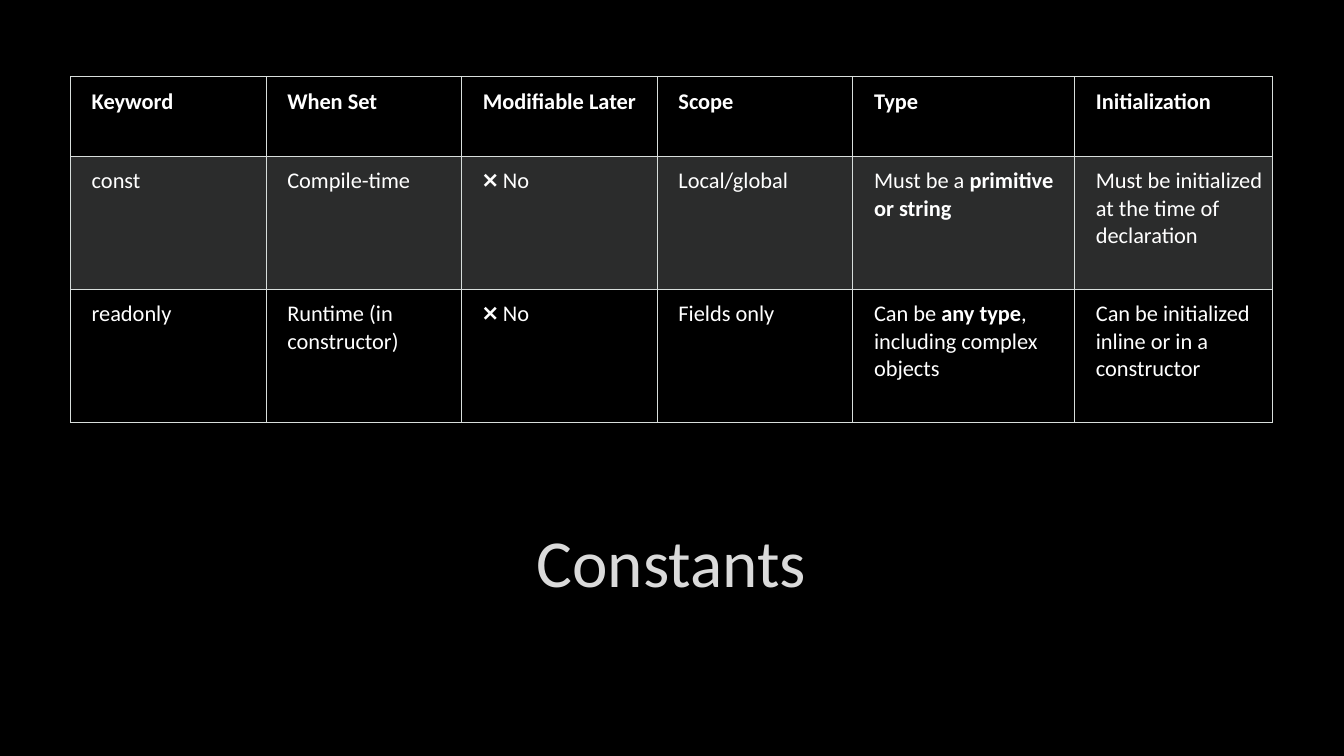
from dataclasses import dataclass

from lxml import etree
from pptx import Presentation
from pptx import util as u
from pptx.dml.color import RGBColor
from pptx.enum import text
from pptx.oxml import ns

FONT = "Calibri"
COLORS = {
    "background": "000000",
    "title": "DADADA",
    "title_outline": "404040",
    "body": "FFFFFF",
    "grid": "D8DEDC",
}


@dataclass(frozen=True)
class Run:
    text: str
    bold: bool = False


@dataclass(frozen=True)
class Row:
    height: float
    cells: list[list[Run]]
    shaded: bool = False


COLUMN_WIDTHS = [1.94, 1.94, 1.94, 1.94, 2.2, 1.96]
HEADINGS = ["Keyword", "When Set", "Modifiable Later", "Scope", "Type", "Initialization"]
ROWS = [
    Row(0.79, [[Run(heading, bold=True)] for heading in HEADINGS]),
    Row(
        1.32,
        [
            [Run("const")],
            [Run("Compile-time")],
            [Run("❌ No")],
            [Run("Local/global")],
            [Run("Must be a "), Run("primitive or string", bold=True)],
            [Run("Must be initialized at the time of declaration")],
        ],
        shaded=True,
    ),
    Row(
        1.32,
        [
            [Run("readonly")],
            [Run("Runtime (in constructor)")],
            [Run("❌ No")],
            [Run("Fields only")],
            [Run("Can be "), Run("any type", bold=True), Run(", including complex objects")],
            [Run("Can be initialized inline or in a constructor")],
        ],
    ),
]


def write_text(paragraph, content: str, *, size: float, color: str, bold: bool = False):
    run = paragraph.add_run()
    run.text = content
    run.font.name = FONT
    run.font.size = u.Pt(size)
    run.font.bold = bold
    run.font.color.rgb = RGBColor.from_string(COLORS[color])
    return run


def make_line(tag: str, color: str, width: float):
    """Return a solid line element and its colour element."""
    line = etree.Element(ns.qn(tag), w=str(u.Pt(width)))
    fill = etree.SubElement(line, ns.qn("a:solidFill"))
    line_color = etree.SubElement(fill, ns.qn("a:srgbClr"), val=COLORS[color])
    etree.SubElement(line, ns.qn("a:prstDash"), val="solid")
    return line, line_color


def set_alpha(color_element, percent: int) -> None:
    etree.SubElement(color_element, ns.qn("a:alpha"), val=str(percent * 1000))


def format_cell(cell, shaded: bool) -> None:
    cell.margin_left = u.Inches(0.21)
    cell.margin_right = u.Inches(0.08)
    cell.margin_top = cell.margin_bottom = u.Inches(0.11)
    cell.vertical_anchor = text.MSO_ANCHOR.TOP
    properties = cell._tc.get_or_add_tcPr()
    if shaded:
        cell.fill.solid()
        cell.fill.fore_color.rgb = RGBColor.from_string(COLORS["grid"])
        set_alpha(properties.find(".//" + ns.qn("a:srgbClr")), 20)
    else:
        cell.fill.background()
    for index, side in enumerate("LRTB"):
        border, _ = make_line(f"a:ln{side}", "grid", 0.75)
        properties.insert(index, border)


def add_keyword_table(slide) -> None:
    frame = slide.shapes.add_table(
        len(ROWS), len(COLUMN_WIDTHS),
        u.Inches(0.7), u.Inches(0.76),
        u.Inches(sum(COLUMN_WIDTHS)), u.Inches(sum(row.height for row in ROWS)),
    )
    table = frame.table
    table.horz_banding = False
    table.first_row = False
    for column, width in zip(table.columns, COLUMN_WIDTHS):
        column.width = u.Inches(width)
    for table_row, row in zip(table.rows, ROWS):
        table_row.height = u.Inches(row.height)
        for cell, runs in zip(table_row.cells, row.cells):
            format_cell(cell, row.shaded)
            for run in runs:
                write_text(cell.text_frame.paragraphs[0], run.text,
                           size=16, color="body", bold=run.bold)


def fill_title(title) -> None:
    title.left, title.top = u.Inches(1.5), u.Inches(4.82)
    title.width, title.height = u.Inches(10.32), u.Inches(1.19)
    frame = title.text_frame
    frame.word_wrap = True
    frame.auto_size = text.MSO_AUTO_SIZE.NONE
    frame.vertical_anchor = text.MSO_ANCHOR.BOTTOM
    paragraph = frame.paragraphs[0]
    paragraph.alignment = text.PP_ALIGN.CENTER
    run = write_text(paragraph, "Constants", size=48, color="title")
    outline, outline_color = make_line("a:ln", "title_outline", 0.75)
    set_alpha(outline_color, 10)
    run._r.get_or_add_rPr().insert(0, outline)


def main() -> None:
    presentation = Presentation()
    presentation.slide_width = u.Inches(13.33)
    presentation.slide_height = u.Inches(7.5)
    slide = presentation.slides.add_slide(presentation.slide_layouts.get_by_name("Title Only"))
    background = slide.background.fill
    background.solid()
    background.fore_color.rgb = RGBColor.from_string(COLORS["background"])
    fill_title(slide.shapes.title)
    add_keyword_table(slide)
    presentation.save("out.pptx")


if __name__ == "__main__":
    main()
